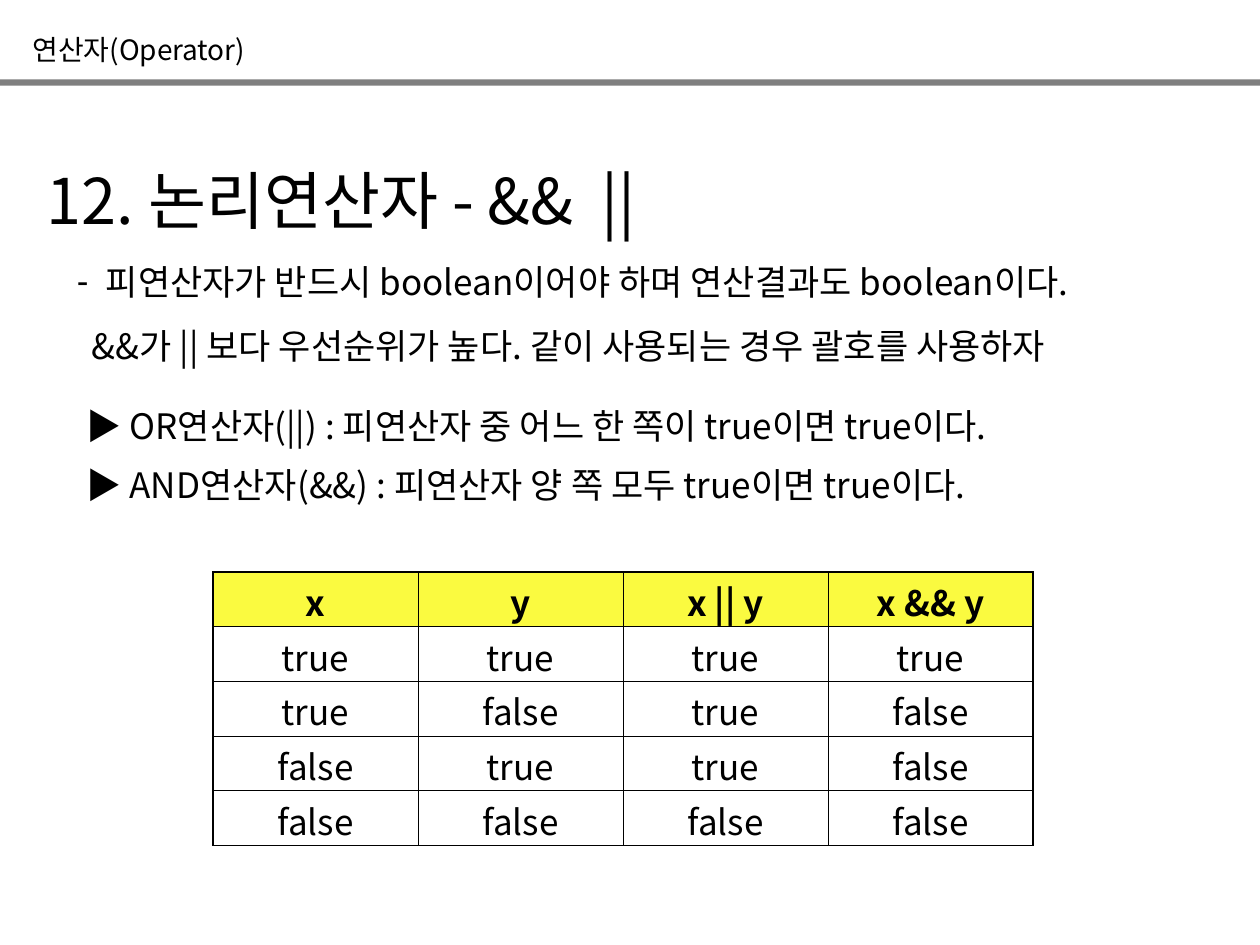
from lxml import etree
from pptx import Presentation
from pptx import util as u
from pptx.dml import color
from pptx.enum import shapes, text
from pptx.oxml import ns

FONT = "Noto Sans CJK KR"
HUES = {"ink": "000000", "bar": "7F7F7F", "head": "FAFA40"}
WIDE, HIGH = 10, 7.5

HEADER = "연산자(Operator)"
TITLE = "12. 논리연산자 - &&  ||"
NOTES = [
    ("피연산자가 반드시 boolean이어야 하며 연산결과도 boolean이다.", 0.23, "-"),
    ("&&가 || 보다 우선순위가 높다. 같이 사용되는 경우 괄호를 사용하자", 0.12, None),
]
RULES = [
    "▶ OR연산자(||) : 피연산자 중 어느 한 쪽이 true이면 true이다.",
    "▶ AND연산자(&&) : 피연산자 양 쪽 모두 true이면 true이다.",
]
TRUTH = [
    ("x", "y", "x || y", "x && y"),
    ("true", "true", "true", "true"),
    ("true", "false", "true", "false"),
    ("false", "true", "true", "false"),
    ("false", "false", "false", "false"),
]
THIN, THICK = 0.45, 1.08


def rgb(name):
    return color.RGBColor.from_string(HUES[name])


def sub(node, tag, **attrs):
    return etree.SubElement(node, ns.qn(tag), attrs)


def write(para, words, size, bold=False, align=text.PP_ALIGN.LEFT):
    para.alignment = align
    para.line_spacing = u.Pt(size * 1.2)
    run = para.add_run()
    run.text = words
    font = run.font
    font.size, font.bold, font.name = u.Pt(size), bold, FONT
    font.color.rgb = rgb("ink")
    sub(run._r.get_or_add_rPr(), "a:ea", typeface=FONT)


def place(shape, left, top, width, height):
    shape.left, shape.top = u.Inches(left), u.Inches(top)
    shape.width, shape.height = u.Inches(width), u.Inches(height)
    frame = shape.text_frame
    frame.word_wrap = True
    frame.auto_size = text.MSO_AUTO_SIZE.NONE
    frame.vertical_anchor = text.MSO_ANCHOR.TOP
    frame.paragraphs[0].space_before = u.Pt(0)
    return frame


def label(slide, words, size, *area):
    box = slide.shapes.add_textbox(0, 0, 0, 0)
    write(place(box, *area).paragraphs[0], words, size)


def notes(frame):
    for i, (words, gap, mark) in enumerate(NOTES):
        para = frame.add_paragraph() if i else frame.paragraphs[0]
        para.space_before = u.Pt(12.5 if i else 0)
        props = para._p.get_or_add_pPr()
        props.set("marL", str(u.Inches(gap)))
        props.set("indent", str(-u.Inches(gap) if mark else 0))
        if mark:
            sub(props, "a:buChar", char=mark)
        else:
            sub(props, "a:buNone")
        write(para, words, 20)


def edge(cell, side, width):
    line = sub(cell._tc.get_or_add_tcPr(), "a:ln" + side, w=str(u.Pt(width)))
    sub(sub(line, "a:solidFill"), "a:srgbClr", val=HUES["ink"])


def truth(slide, left, top, width, height):
    rows, cols = len(TRUTH), len(TRUTH[0])
    area = [u.Inches(n) for n in (left, top, width, height)]
    grid = slide.shapes.add_table(rows, cols, *area).table
    for r, line in enumerate(TRUTH):
        for c, words in enumerate(line):
            cell = grid.cell(r, c)
            cell.margin_top, cell.margin_bottom = u.Inches(0.1), 0
            outer = {"L": c == 0, "R": c == cols - 1, "T": r == 0, "B": r == rows - 1}
            for side, out in outer.items():
                edge(cell, side, THICK if out else THIN)
            if r == 0:
                cell.fill.solid()
                cell.fill.fore_color.rgb = rgb("head")
            else:
                cell.fill.background()
            para = cell.text_frame.paragraphs[0]
            write(para, words, 20, r == 0, text.PP_ALIGN.CENTER)


def main():
    deck = Presentation()
    deck.slide_width, deck.slide_height = u.Inches(WIDE), u.Inches(HIGH)
    slide = deck.slides.add_slide(deck.slide_layouts[1])
    title, body = slide.placeholders

    bar = slide.shapes.add_shape(shapes.MSO_SHAPE.RECTANGLE, 0, 0, 0, 0)
    place(bar, 0, 0.63, WIDE, 0.05)
    bar.shadow.inherit = False
    bar.fill.solid()
    bar.fill.fore_color.rgb = rgb("bar")
    bar.line.fill.background()

    label(slide, HEADER, 16, 0.16, 0.21, 4.33, 0.37)
    write(place(title, 0.27, 1.23, 9.45, 0.7).paragraphs[0], TITLE, 36)
    notes(place(body, 0.51, 2.02, 9.49, 0.94))
    for i, words in enumerate(RULES):
        label(slide, words, 20, 0.59, 3.16 + i * 0.47, 9.33, 0.44)
    truth(slide, 1.69, 4.54, 6.51, 2.17)
    deck.save("out.pptx")


if __name__ == "__main__":
    main()
